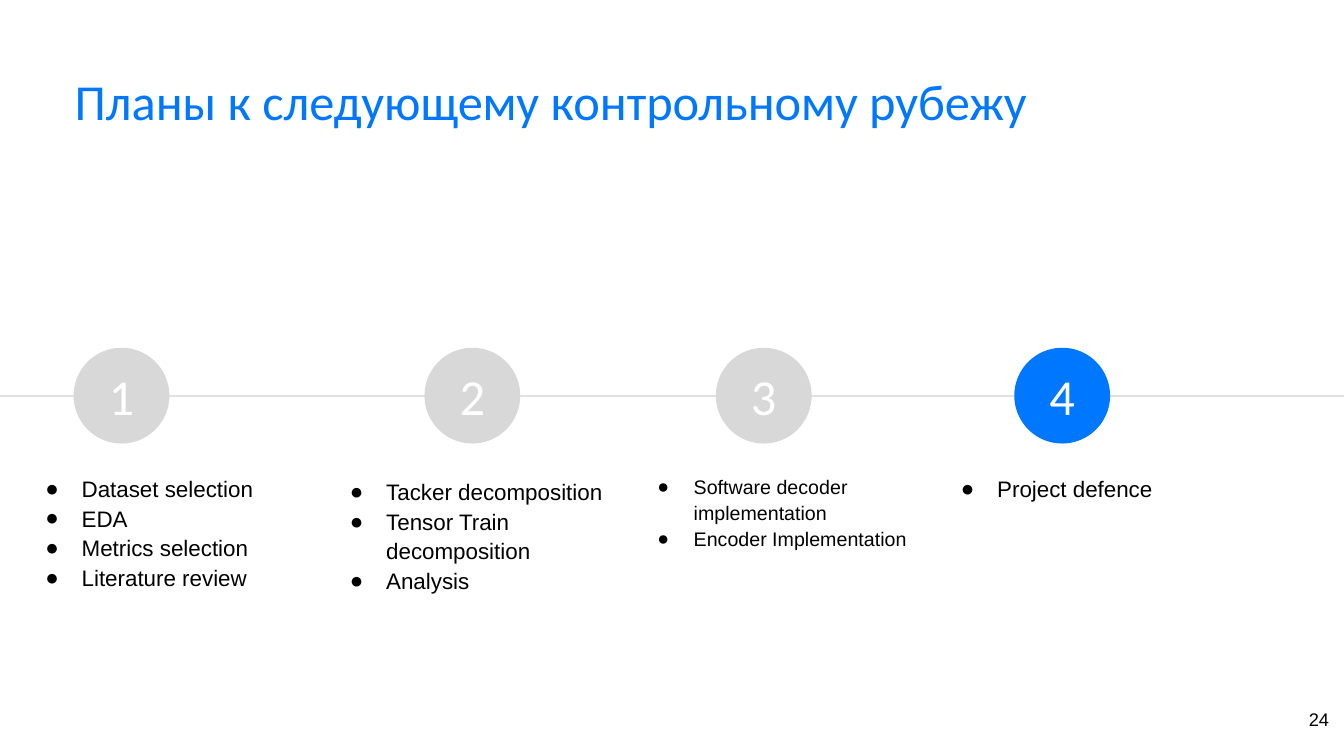
from dataclasses import dataclass

import pptx
import pptx.dml.color
import pptx.enum.shapes
import pptx.enum.text
import pptx.oxml.ns
import pptx.util
from lxml import etree

Inches = pptx.util.Inches
Align = pptx.enum.text.PP_ALIGN
Anchor = pptx.enum.text.MSO_ANCHOR

BLUE, GREY, LINE_GREY = "0077FF", "D8D8D8", "E1E1E2"
BLACK, WHITE = "000000", "FFFFFF"
CIRCLE_TOP, CIRCLE_SIZE, LINE_Y = 3.45, 0.95, 3.93
LIST_WIDTH = 2.79


@dataclass
class Stage:
    circle_left: float
    list_left: float
    list_top: float
    list_height: float
    tasks: list[str]
    size: int = 16
    fill: str = GREY


STAGES = [
    Stage(0.73, 0.27, 4.65, 1.53,
          ["Dataset selection", "EDA", "Metrics selection", "Literature review"]),
    Stage(4.21, 3.29, 4.68, 1.24,
          ["Tacker decomposition", "Tensor Train decomposition", "Analysis"]),
    Stage(7.1, 6.34, 4.65, 0.83,
          ["Software decoder implementation", "Encoder Implementation"], size=14),
    Stage(10.06, 9.35, 4.65, 0.35, ["Project defence"], fill=BLUE),
]


def color(value: str) -> pptx.dml.color.RGBColor:
    return pptx.dml.color.RGBColor.from_string(value)


def add_bullet(paragraph) -> None:
    properties = paragraph._p.get_or_add_pPr()
    properties.set("marL", str(Inches(0.5)))
    properties.set("indent", str(Inches(-0.36)))
    bullet_color = etree.SubElement(properties, pptx.oxml.ns.qn("a:buClr"))
    etree.SubElement(bullet_color, pptx.oxml.ns.qn("a:srgbClr"), val=BLACK)
    etree.SubElement(properties, pptx.oxml.ns.qn("a:buFont"), typeface="Arial")
    etree.SubElement(properties, pptx.oxml.ns.qn("a:buChar"), char="●")


def write_text(shape, lines: list[str], *, size: int, font: str = "Arial",
               fill: str = BLACK, align=Align.LEFT, anchor=Anchor.TOP,
               margins: tuple[float, float] = (0, 0), spacing: float = 1.0,
               bullets: bool = False) -> None:
    """Margins are horizontal, then vertical, in inches."""
    frame = shape.text_frame
    frame.word_wrap = True
    frame.vertical_anchor = anchor
    frame.margin_left = frame.margin_right = Inches(margins[0])
    frame.margin_top = frame.margin_bottom = Inches(margins[1])
    for index, line in enumerate(lines):
        paragraph = frame.add_paragraph() if index else frame.paragraphs[0]
        paragraph.alignment = align
        paragraph.line_spacing = spacing
        if bullets:
            add_bullet(paragraph)
        run = paragraph.add_run()
        run.text = line
        run.font.name = font
        run.font.size = pptx.util.Pt(size)
        run.font.color.rgb = color(fill)


def add_text(slide, left: float, top: float, width: float, height: float,
             lines: list[str], **text_format):
    box = slide.shapes.add_textbox(Inches(left), Inches(top), Inches(width), Inches(height))
    write_text(box, lines, **text_format)
    return box


def add_timeline(slide, width: float) -> None:
    line = slide.shapes.add_connector(
        pptx.enum.shapes.MSO_CONNECTOR.STRAIGHT,
        Inches(0), Inches(LINE_Y), Inches(width), Inches(LINE_Y))
    line.line.color.rgb = color(LINE_GREY)
    line.line.width = pptx.util.Pt(1)
    etree.SubElement(line._element.spPr, pptx.oxml.ns.qn("a:effectLst"))


def add_stage(slide, number: int, stage: Stage) -> None:
    circle = slide.shapes.add_shape(
        pptx.enum.shapes.MSO_SHAPE.OVAL, Inches(stage.circle_left), Inches(CIRCLE_TOP),
        Inches(CIRCLE_SIZE), Inches(CIRCLE_SIZE))
    circle.shadow.inherit = False
    circle.fill.solid()
    circle.fill.fore_color.rgb = color(stage.fill)
    circle.line.fill.background()
    write_text(circle, [str(number)], size=36, font="Calibri", fill=WHITE,
               align=Align.CENTER, anchor=Anchor.MIDDLE, margins=(0, 0.05))
    task_list = add_text(slide, stage.list_left, stage.list_top, LIST_WIDTH,
                         stage.list_height, stage.tasks, size=stage.size,
                         margins=(0.04, 0.04), spacing=1.1, bullets=True)
    task_list.text_frame.auto_size = pptx.enum.text.MSO_AUTO_SIZE.SHAPE_TO_FIT_TEXT


def main() -> None:
    presentation = pptx.Presentation()
    presentation.slide_width = Inches(13.33)
    presentation.slide_height = Inches(7.5)
    slide = presentation.slides.add_slide(presentation.slide_layouts[6])

    # Title
    add_text(slide, 0.74, 0.76, 11.87, 0.7, ["Планы к следующему контрольному рубежу"],
             size=36, font="Calibri", fill=BLUE, spacing=0.9)

    # Timeline with its stages
    add_timeline(slide, 13.33)
    for number, stage in enumerate(STAGES, start=1):
        add_stage(slide, number, stage)

    # Slide number
    add_text(slide, 12.48, 6.93, 0.8, 0.57, ["24"], size=13, align=Align.RIGHT,
             margins=(0.1, 0.1))

    presentation.save("out.pptx")


if __name__ == "__main__":
    main()
